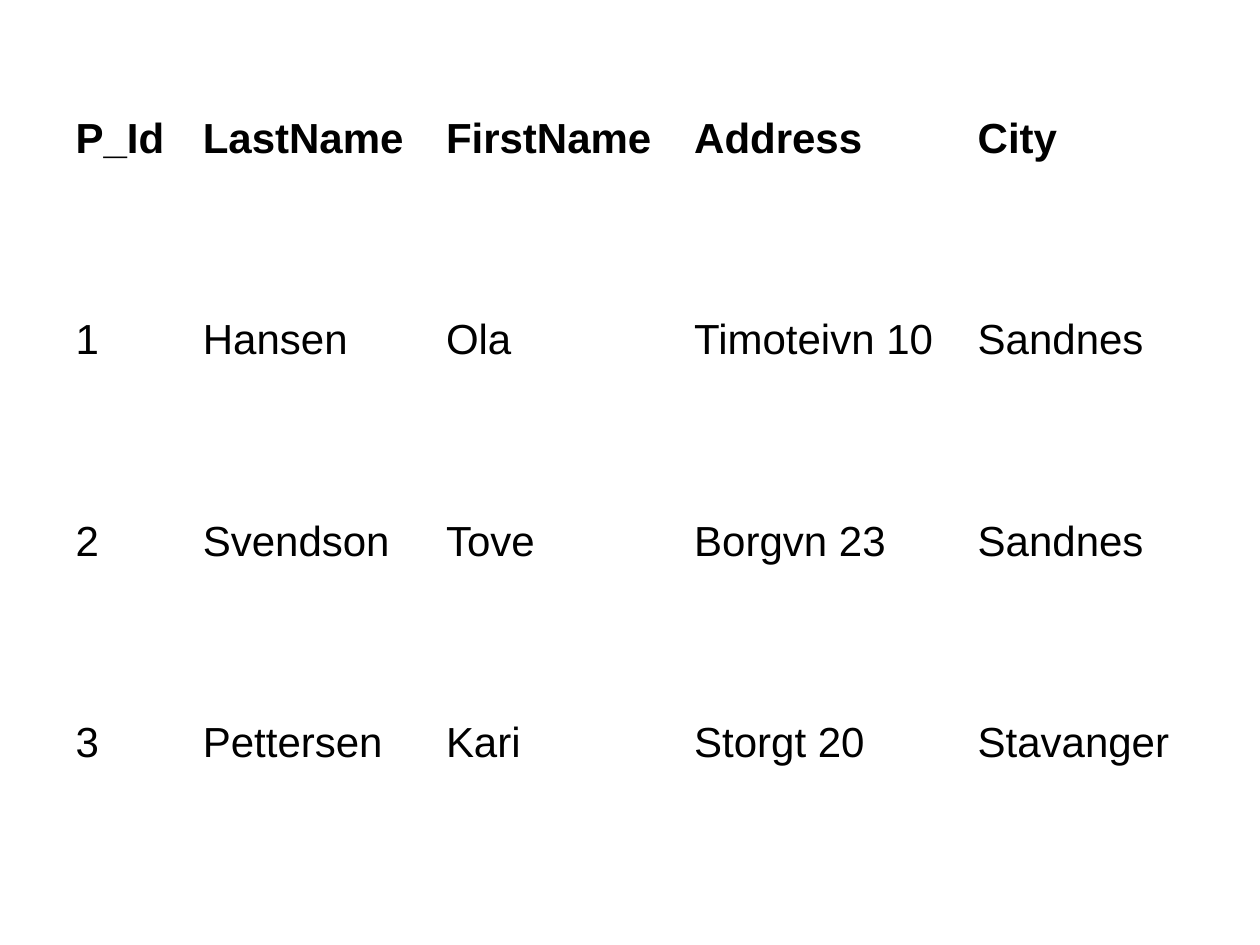
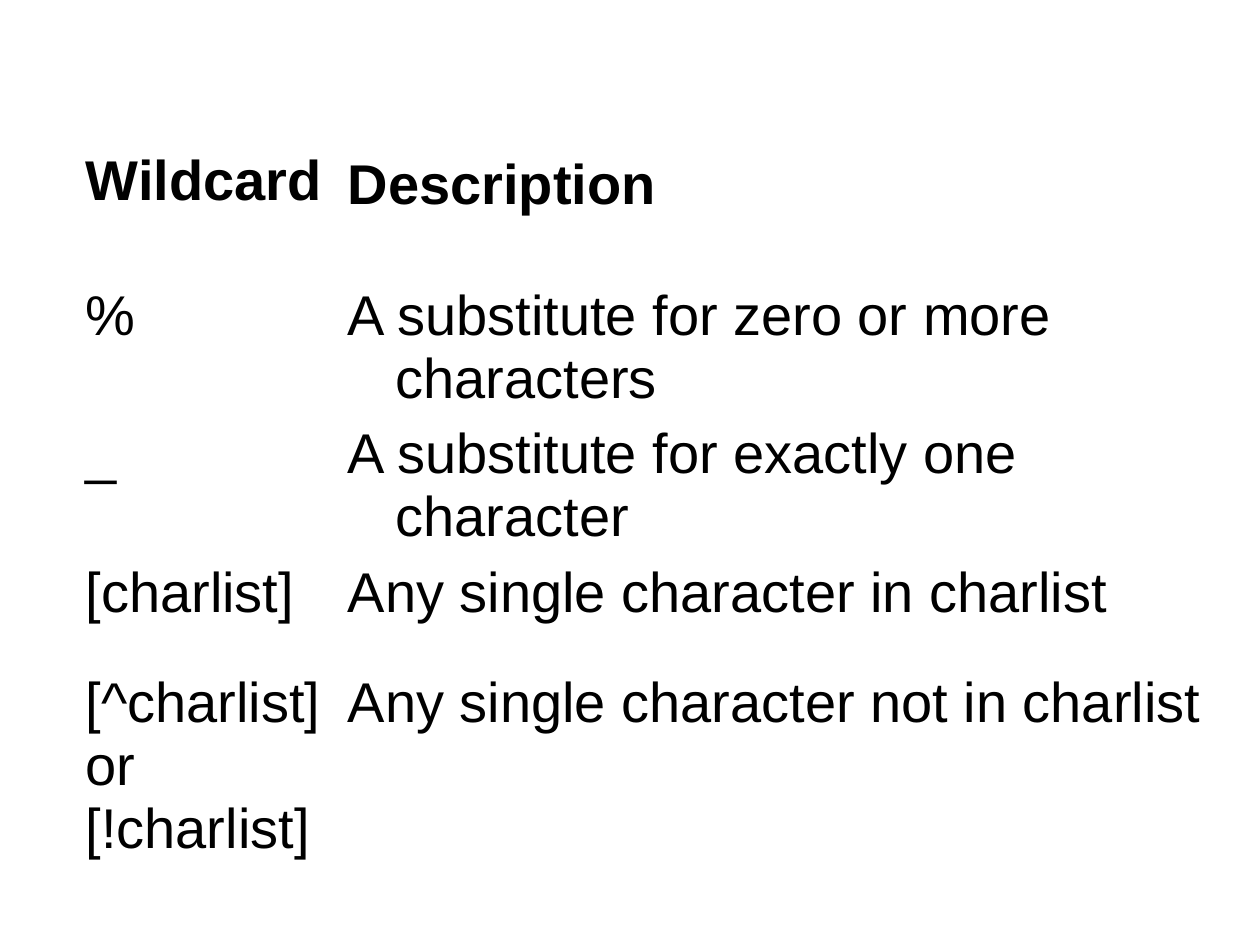
from pptx import Presentation
from pptx.dml.color import RGBColor
from pptx.enum.text import MSO_ANCHOR
from pptx.util import Inches, Pt

TOP, MIDDLE = MSO_ANCHOR.TOP, MSO_ANCHOR.MIDDLE
BLACK = RGBColor(0x00, 0x00, 0x00)
FONT = "Arial"
HANGING = Inches(0.38)
BLANK_LAYOUT = 6


def write_text(cell, text, size, bold=False, anchor=TOP):
    """Fill a cell with one hanging-indent paragraph per line of text."""
    cell.fill.background()
    cell.vertical_anchor = anchor
    cell.text = text
    for paragraph in cell.text_frame.paragraphs:
        properties = paragraph._p.get_or_add_pPr()
        properties.set("marL", str(HANGING))
        properties.set("indent", str(-HANGING))
        font = paragraph.runs[0].font
        font.name = FONT
        font.size = Pt(size)
        font.bold = bold
        font.color.rgb = BLACK


def add_plain_table(left, top, widths, heights):
    """Add a slide with an unbanded table and return the table."""
    slide = deck.slides.add_slide(deck.slide_layouts[BLANK_LAYOUT])
    table = slide.shapes.add_table(
        len(heights), len(widths), Inches(left), Inches(top),
        Inches(sum(widths)), Inches(sum(heights))).table
    table.first_row = False
    table.horz_banding = False
    for column, width in zip(table.columns, widths):
        column.width = Inches(width)
    for row, height in zip(table.rows, heights):
        row.height = Inches(height)
    return table


deck = Presentation()
deck.slide_width = Inches(10)
deck.slide_height = Inches(7.5)

# Slide 1: persons
persons = [
    ("P_Id", "LastName", "FirstName", "Address", "City"),
    ("1", "Hansen", "Ola", "Timoteivn 10", "Sandnes"),
    ("2", "Svendson", "Tove", "Borgvn 23", "Sandnes"),
    ("3", "Pettersen", "Kari", "Storgt 20", "Stavanger"),
]
person_table = add_plain_table(
    0.5, 0.3, [1.01, 1.93, 1.97, 2.25, 1.85], [1.6] * len(persons))
for r, person in enumerate(persons):
    for c, value in enumerate(person):
        write_text(person_table.cell(r, c), value, size=24, bold=r == 0,
                   anchor=MIDDLE)

# Slide 2: wildcards
wildcards = [
    ("Wildcard", "Description"),
    ("%", "A substitute for zero or more characters"),
    ("_", "A substitute for exactly one character"),
    ("[charlist]", "Any single character in charlist"),
    ("[^charlist]\nor\n[!charlist]", "Any single character not in charlist"),
]
wildcard_table = add_plain_table(
    0.58, 0.67, [2.08, 7.1], [1.54, 0.88, 0.88, 0.88, 2.21])
for r, wildcard in enumerate(wildcards):
    for c, value in enumerate(wildcard):
        write_text(wildcard_table.cell(r, c), value, size=32, bold=r == 0)

# The two headings sit at slightly different heights
wildcard_table.cell(0, 0).vertical_anchor = MIDDLE
wildcard_table.cell(0, 1).margin_top = Inches(0.55)

deck.save("out.pptx")
